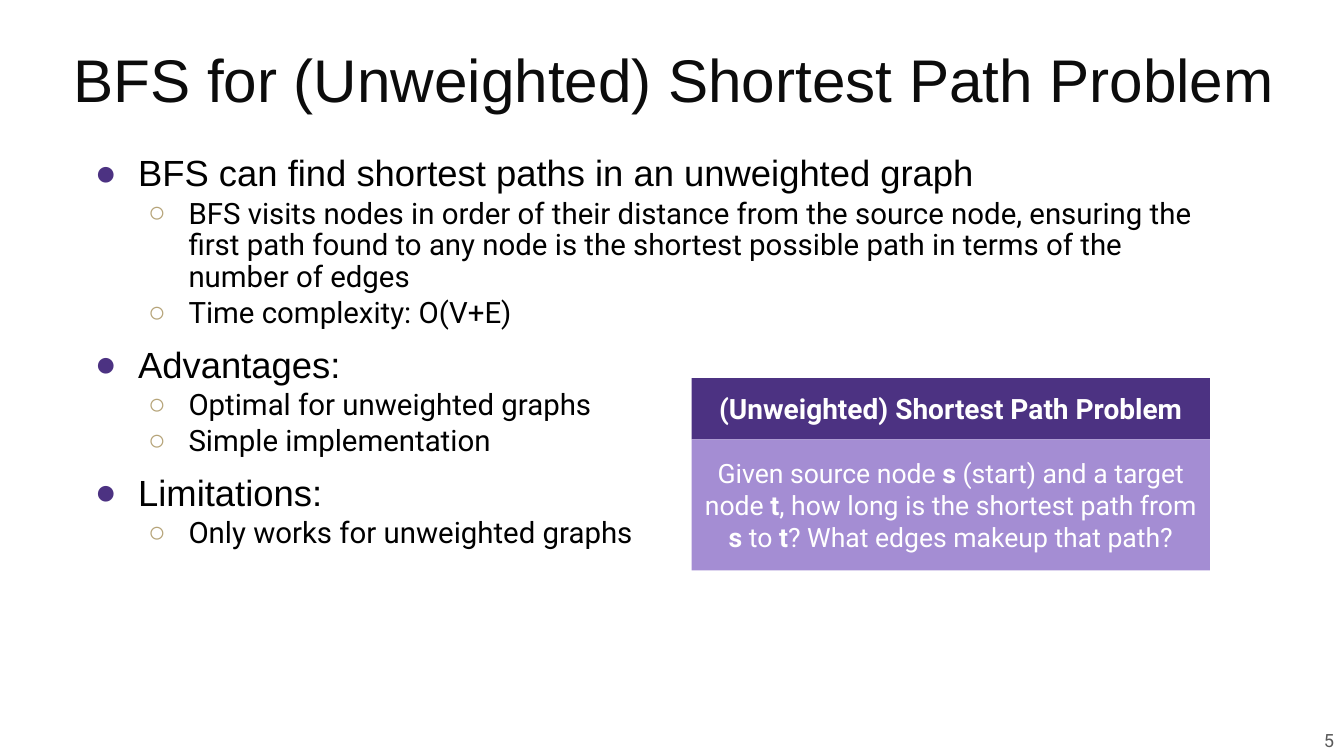
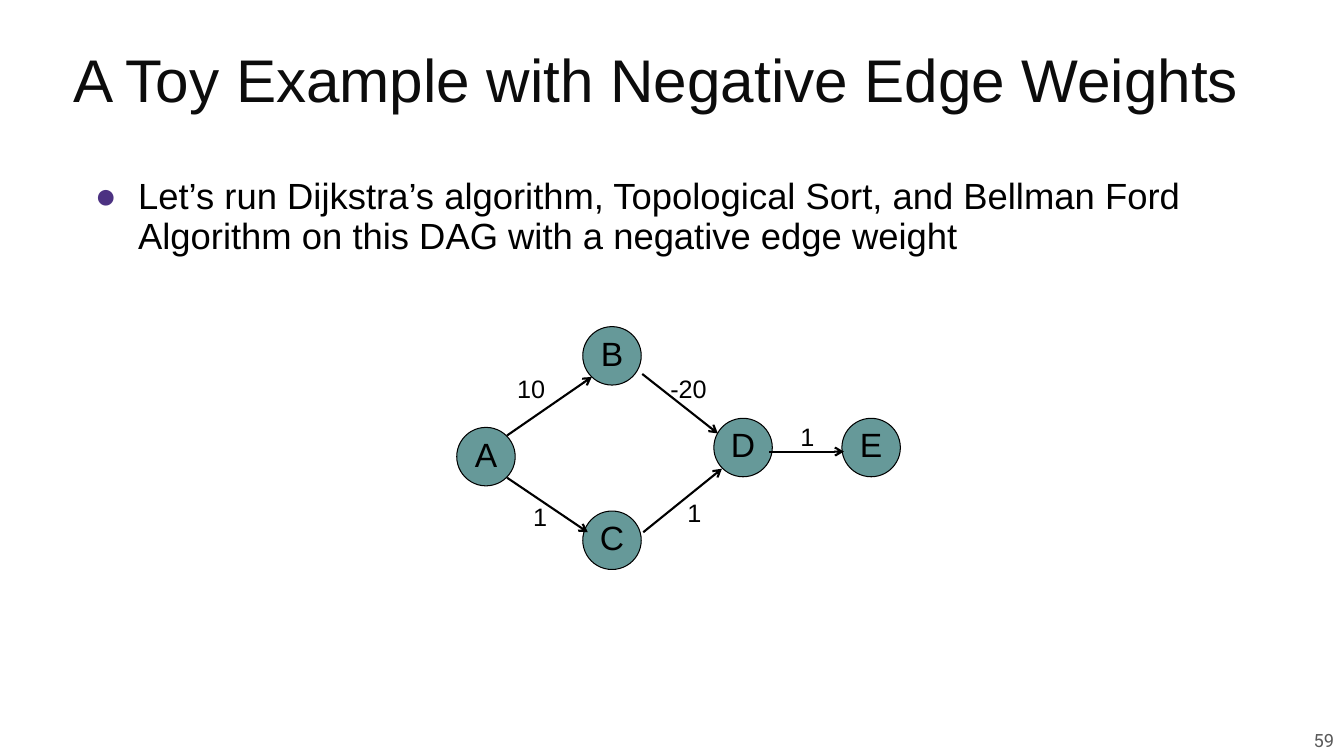
from dataclasses import dataclass
from typing import NamedTuple, Optional

from lxml.etree import SubElement
from pptx import Presentation
from pptx.dml.color import RGBColor
from pptx.enum.shapes import MSO_CONNECTOR as Connector, MSO_SHAPE as Preset
from pptx.enum.text import MSO_ANCHOR as Anchor, PP_ALIGN as Align
from pptx.oxml.ns import qn
from pptx.presentation import Presentation as Deck
from pptx.shapes.autoshape import Shape
from pptx.slide import Slide
from pptx.text.text import TextFrame
from pptx.util import Emu, Pt

EMU_PER_PX = 9144


def px(length: int) -> Emu:
    return Emu(length * EMU_PER_PX)


@dataclass(frozen=True)
class Theme:
    heading_font: str = "Arial"
    body_font: str = "Roboto"
    title_color: str = "0C0C0C"
    text_color: str = "000000"
    light_text: str = "FFFFFF"
    footer_color: str = "595959"
    purple: str = "4C3282"
    lavender: str = "A48DD3"
    gold: str = "B6A479"
    teal: str = "669999"
    title_size: int = 43
    topic_size: int = 26
    detail_size: int = 21
    card_title_size: int = 20
    card_size: int = 19
    node_size: int = 24
    weight_size: int = 18
    footer_size: int = 13


THEME = Theme()


class Box(NamedTuple):
    left: int
    top: int
    width: int
    height: int


@dataclass(frozen=True)
class BulletLevel:
    level: int
    symbol: str
    color: str
    margin: int
    hanging: int
    font: str
    size: int
    space_before: int


TOPIC = BulletLevel(0, "●", THEME.purple, 50, 43, THEME.heading_font, THEME.topic_size, 12)
DETAIL = BulletLevel(1, "○", THEME.gold, 100, 40, THEME.body_font, THEME.detail_size, 3)


class Bullet(NamedTuple):
    style: BulletLevel
    text: str


class Node(NamedTuple):
    name: str
    left: int
    top: int


class Edge(NamedTuple):
    start: tuple[int, int]
    end: tuple[int, int]
    weight: str
    label_box: Box


NODE_DIAMETER = 58
TITLE_BOX = Box(63, 29, 1223, 111)
FOOTER_BOX = Box(865, 718, 468, 32)

BFS_BULLETS = [
    Bullet(TOPIC, "BFS can find shortest paths in an unweighted graph"),
    Bullet(DETAIL, "BFS visits nodes in order of their distance from the source node, "
                   "ensuring the first path found to any node is the shortest possible "
                   "path in terms of the number of edges"),
    Bullet(DETAIL, "Time complexity: O(V+E)"),
    Bullet(TOPIC, "Advantages:"),
    Bullet(DETAIL, "Optimal for unweighted graphs"),
    Bullet(DETAIL, "Simple implementation"),
    Bullet(TOPIC, "Limitations:"),
    Bullet(DETAIL, "Only works for unweighted graphs"),
]
EXAMPLE_BULLETS = [
    Bullet(TOPIC, "Let’s run Dijkstra’s algorithm, Topological Sort, and Bellman Ford "
                  "Algorithm on this DAG with a negative edge weight"),
]
NODES = [
    Node("A", 453, 424),
    Node("B", 578, 324),
    Node("C", 578, 507),
    Node("D", 708, 415),
    Node("E", 835, 415),
]
EDGES = [
    Edge((503, 432), (587, 374), "10", Box(503, 365, 62, 40)),
    Edge((503, 474), (583, 528), "1", Box(519, 492, 44, 40)),
    Edge((637, 371), (712, 430), "-20", Box(655, 365, 90, 40)),
    Edge((638, 528), (716, 465), "1", Box(672, 488, 44, 40)),
    Edge((763, 448), (837, 448), "1", Box(784, 413, 44, 40)),
]


def color(code: str) -> RGBColor:
    return RGBColor.from_string(code)


def set_frame(frame: TextFrame, anchor: Anchor, insets: tuple[int, int, int, int]) -> None:
    frame.word_wrap = True
    frame.vertical_anchor = anchor
    left, top, right, bottom = map(px, insets)
    frame.margin_left, frame.margin_top = left, top
    frame.margin_right, frame.margin_bottom = right, bottom


def write(frame: TextFrame, text: str, *, size: int, font: str = THEME.heading_font,
          ink: str = THEME.text_color, bold: bool = False, align: Align = Align.LEFT,
          line_spacing: float = 1.0, bullet: Optional[BulletLevel] = None) -> None:
    """Add a paragraph; asterisks enclose words with the opposite weight."""
    is_first = not frame.paragraphs[0].runs
    paragraph = frame.paragraphs[0] if is_first else frame.add_paragraph()
    paragraph.alignment = align
    paragraph.line_spacing = line_spacing
    if bullet:
        paragraph.level = bullet.level
        paragraph.space_before = Pt(0 if is_first else bullet.space_before)
        properties = paragraph._p.get_or_add_pPr()
        properties.set("marL", str(px(bullet.margin)))
        properties.set("indent", str(-px(bullet.hanging)))
        bullet_color = SubElement(properties, qn("a:buClr"))
        SubElement(bullet_color, qn("a:srgbClr"), val=bullet.color)
        SubElement(properties, qn("a:buFont"), typeface=THEME.heading_font)
        SubElement(properties, qn("a:buChar"), char=bullet.symbol)
    for index, part in enumerate(text.split("*")):
        run = paragraph.add_run()
        run.text = part
        run.font.name = font
        run.font.size = Pt(size)
        run.font.bold = bold != (index % 2 == 1)
        run.font.color.rgb = color(ink)


def add_text_box(slide: Slide, box: Box, anchor: Anchor = Anchor.TOP,
                 insets: tuple[int, int, int, int] = (10, 5, 10, 5)) -> TextFrame:
    frame = slide.shapes.add_textbox(*map(px, box)).text_frame
    set_frame(frame, anchor, insets)
    return frame


def add_filled_shape(slide: Slide, preset: Preset, box: Box, fill: str,
                     outline: Optional[str] = None) -> Shape:
    shape = slide.shapes.add_shape(preset, *map(px, box))
    shape.shadow.inherit = False
    shape.fill.solid()
    shape.fill.fore_color.rgb = color(fill)
    if outline:
        shape.line.color.rgb = color(outline)
        shape.line.width = Pt(0.75)
    else:
        shape.line.fill.background()
    return shape


def add_titled_slide(presentation: Deck, title: str, number: int) -> Slide:
    slide = presentation.slides.add_slide(presentation.slide_layouts[6])
    write(add_text_box(slide, TITLE_BOX, Anchor.MIDDLE), title,
          size=THEME.title_size, ink=THEME.title_color, line_spacing=0.8)
    write(add_text_box(slide, FOOTER_BOX, Anchor.MIDDLE, (10, 0, 10, 0)), str(number),
          size=THEME.footer_size, font=THEME.body_font, ink=THEME.footer_color,
          align=Align.RIGHT)
    return slide


def add_bullets(slide: Slide, box: Box, bullets: list[Bullet]) -> None:
    frame = add_text_box(slide, box, insets=(5, 5, 5, 5))
    for style, text in bullets:
        write(frame, text, size=style.size, font=style.font, line_spacing=0.9, bullet=style)


def add_card_part(slide: Slide, box: Box, fill: str, text: str, size: int,
                  bold: bool = False) -> None:
    frame = add_filled_shape(slide, Preset.RECTANGLE, box, fill).text_frame
    set_frame(frame, Anchor.MIDDLE, (10, 5, 10, 5))
    write(frame, text, size=size, font=THEME.body_font, ink=THEME.light_text,
          bold=bold, align=Align.CENTER)


def add_node(slide: Slide, node: Node) -> None:
    box = Box(node.left, node.top, NODE_DIAMETER, NODE_DIAMETER)
    circle = add_filled_shape(slide, Preset.OVAL, box, THEME.teal, THEME.text_color)
    set_frame(circle.text_frame, Anchor.MIDDLE, (0, 0, 0, 6))
    write(circle.text_frame, node.name, size=THEME.node_size, align=Align.CENTER)


def add_edge(slide: Slide, edge: Edge) -> None:
    ends = map(px, edge.start + edge.end)
    arrow = slide.shapes.add_connector(Connector.STRAIGHT, *ends)
    arrow.line.color.rgb = color(THEME.text_color)
    arrow.line.width = Pt(1.5)
    SubElement(arrow.line._get_or_add_ln(), qn("a:tailEnd"), type="arrow")
    SubElement(arrow._element.spPr, qn("a:effectLst"))
    write(add_text_box(slide, edge.label_box), edge.weight, size=THEME.weight_size)


def build_bfs_slide(presentation: Deck) -> None:
    slide = add_titled_slide(presentation, "BFS for (Unweighted) Shortest Path Problem", 5)
    add_bullets(slide, Box(82, 149, 1126, 532), BFS_BULLETS)
    header = Box(686, 375, 514, 61)
    add_card_part(slide, header, THEME.purple, "(Unweighted) Shortest Path Problem",
                  THEME.card_title_size, bold=True)
    add_card_part(slide, header._replace(top=header.top + header.height, height=130),
                  THEME.lavender,
                  "Given source node *s* (start) and a target node *t*, how long is the "
                  "shortest path from *s* to* t*? What edges makeup that path?",
                  THEME.card_size)


def build_example_slide(presentation: Deck) -> None:
    slide = add_titled_slide(presentation, "A Toy Example with Negative Edge Weights", 59)
    add_bullets(slide, Box(82, 172, 1102, 105), EXAMPLE_BULLETS)
    for node in NODES:
        add_node(slide, node)
    for edge in EDGES:
        add_edge(slide, edge)


def main() -> None:
    presentation = Presentation()
    presentation.slide_width, presentation.slide_height = px(1333), px(750)
    build_bfs_slide(presentation)
    build_example_slide(presentation)
    presentation.save("out.pptx")


if __name__ == "__main__":
    main()
